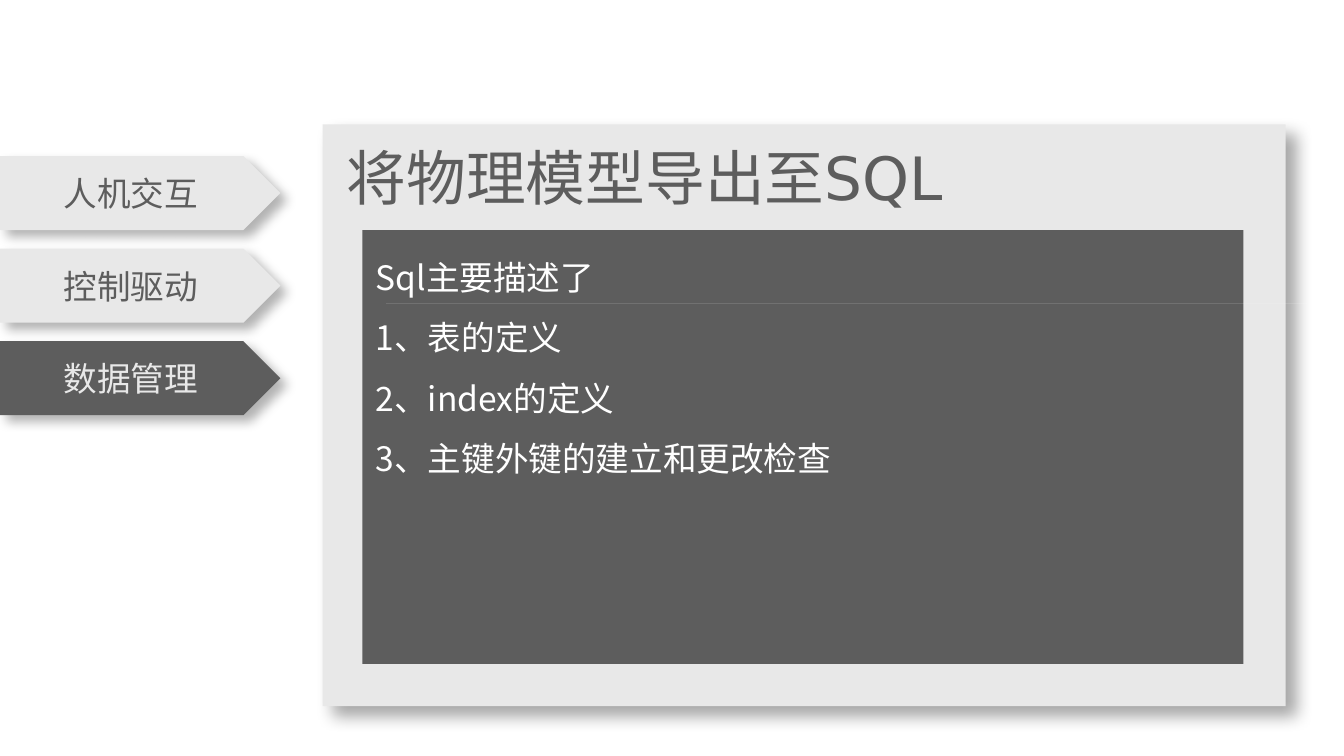
from lxml import etree
from pptx import Presentation
from pptx.dml.color import RGBColor
from pptx.enum.shapes import MSO_SHAPE
from pptx.enum.text import MSO_ANCHOR, PP_ALIGN
from pptx.oxml.ns import qn
from pptx.util import Cm, Pt

RECTANGLE, TAB = MSO_SHAPE.RECTANGLE, MSO_SHAPE.PENTAGON
TOP, MIDDLE = MSO_ANCHOR.TOP, MSO_ANCHOR.MIDDLE
LEFT, CENTER = PP_ALIGN.LEFT, PP_ALIGN.CENTER

LIGHT, DARK, WHITE = "E8E8E8", "5D5D5D", "FFFFFF"
LATIN, CHINESE = "DejaVu Sans", "Noto Sans CJK SC"

TABS = [("人机交互", LIGHT, DARK), ("控制驱动", LIGHT, DARK), ("数据管理", DARK, LIGHT)]
TAB_TOP, TAB_STEP = 2.95, 1.75
SQL_CONTENT = ["Sql主要描述了", "1、表的定义", "2、index的定义", "3、主键外键的建立和更改检查"]


def color(hex_string):
    return RGBColor.from_string(hex_string)


def add_block(slide, kind, left, top, width, height, fill):
    block = slide.shapes.add_shape(kind, Cm(left), Cm(top), Cm(width), Cm(height))
    block.shadow.inherit = False
    block.fill.solid()
    block.fill.fore_color.rgb = color(fill)
    block.line.fill.background()
    return block


def add_shadow(block, opacity, blur, distance):
    """Cast a black shadow to the lower right; blur and distance in points."""
    effects = block._element.spPr.find(qn("a:effectLst"))
    shadow = etree.SubElement(
        effects, qn("a:outerShdw"), blurRad=str(Pt(blur)), dist=str(Pt(distance)),
        dir=str(45 * 60000), algn="tl", rotWithShape="0")
    black = etree.SubElement(shadow, qn("a:srgbClr"), val="000000")
    etree.SubElement(black, qn("a:alpha"), val=str(opacity * 1000))


def write(shape, lines, size, font_name, text_color, align=LEFT, anchor=TOP, spacing=1.0):
    frame = shape.text_frame
    frame.word_wrap = True
    frame.vertical_anchor = anchor
    frame.text = "\n".join(lines)
    for paragraph in frame.paragraphs:
        paragraph.alignment = align
        paragraph.line_spacing = spacing
        font = paragraph.font
        font.size = Pt(size)
        font.color.rgb = color(text_color)
        font.name = font_name
        etree.SubElement(font._element, qn("a:ea"), typeface=CHINESE)


def add_tab(slide, top, label, fill, text_color):
    tab = add_block(slide, TAB, 0, top, 5.3, 1.4, fill)
    add_shadow(tab, 30, 6, 5)
    write(tab, [label], 18, LATIN, text_color, CENTER, MIDDLE)


def main():
    prs = Presentation()
    prs.slide_width, prs.slide_height = Cm(25.4), Cm(14.29)
    slide = prs.slides.add_slide(prs.slide_layouts[6])

    panel = add_block(slide, RECTANGLE, 6.1, 2.35, 18.2, 11, LIGHT)
    add_shadow(panel, 35, 9, 8)

    content = add_block(slide, RECTANGLE, 6.85, 4.35, 16.65, 8.2, DARK)
    write(content, SQL_CONTENT, 18, CHINESE, WHITE, spacing=1.5)

    title = slide.shapes.add_textbox(Cm(6.3), Cm(2.54), Cm(17.2), Cm(1.63))
    write(title, ["将物理模型导出至SQL"], 32, LATIN, DARK)

    for index, (label, fill, text_color) in enumerate(TABS):
        add_tab(slide, TAB_TOP + index * TAB_STEP, label, fill, text_color)

    # Hairline under the first content line, running to the slide's edge
    add_block(slide, RECTANGLE, 7.3, 5.74, 18.1, 0, WHITE)

    prs.save("out.pptx")


if __name__ == "__main__":
    main()
